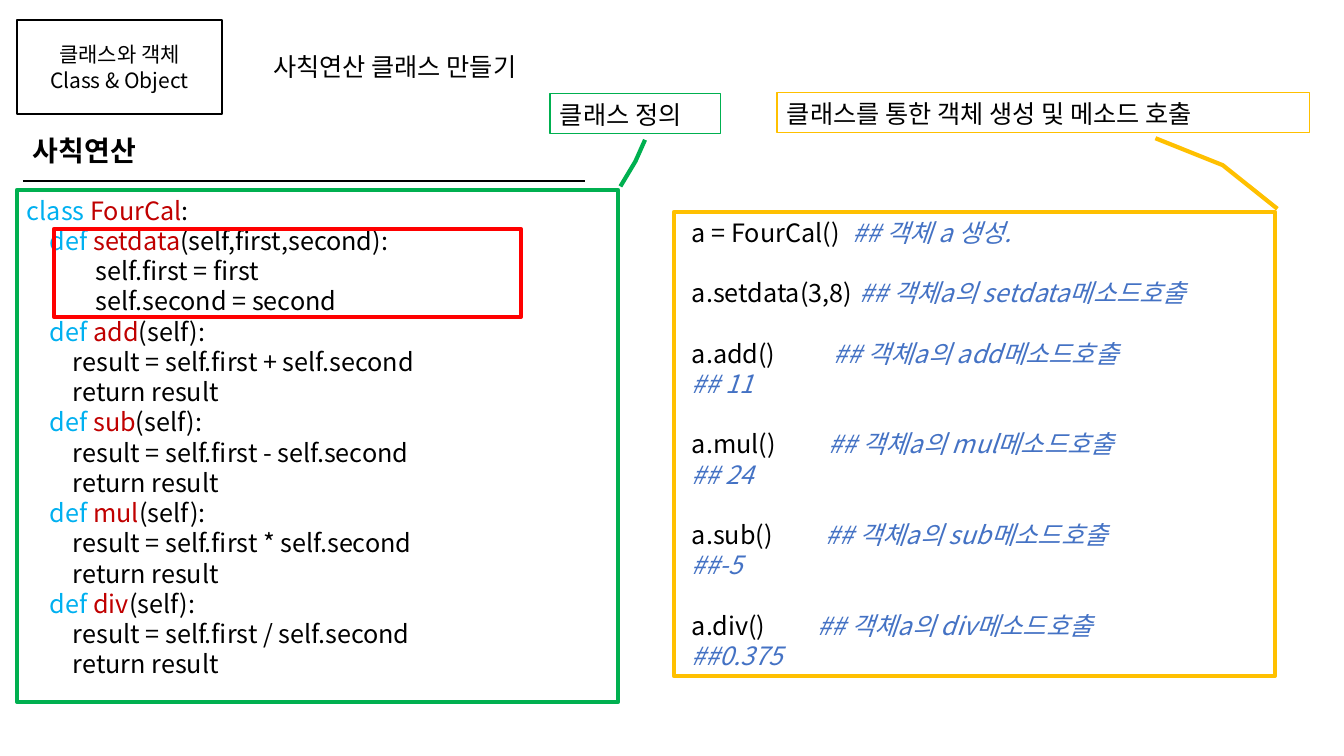
from lxml import etree
from pptx import Presentation, util as u
from pptx.dml.color import RGBColor
from pptx.enum import shapes, text
from pptx.oxml.ns import qn

FONT = "Noto Sans CJK KR"
COLORS = {
    "black": "000000", "keyword": "00B0F0", "name": "C00000", "comment": "4472C4",
    "green": "00B050", "yellow": "FFC000", "red": "FF0000",
}
TITLE = "사칙연산 클래스 만들기"
TOPIC = ["클래스와 객체", "Class & Object"]
SUBHEAD = "사칙연산"
OPERATIONS = [("add", "+"), ("sub", "-"), ("mul", "*"), ("div", "/")]
# call, comment, px from text edge to comment, printed result
CALLS = [
    ("a = FourCal()", "## 객체 a 생성.", 161, None),
    ("a.setdata(3,8)", "## 객체a의 setdata메소드호출", 168, None),
    ("a.add()", "## 객체a의 add메소드호출", 142, "## 11"),
    ("a.mul()", "## 객체a의 mul메소드호출", 137, "## 24"),
    ("a.sub()", "## 객체a의 sub메소드호출", 134, "##-5"),
    ("a.div()", "## 객체a의 div메소드호출", 126, "##0.375"),
]
# label, label box, code frame, callout adjustments, colour
PANELS = [
    ("클래스 정의", (550, 94, 171, 40), (17, 190, 601, 512),
     (1.007, -0.004, 1.056, -0.029, 1.098, -0.045), "green"),
    ("클래스를 통한 객체 생성 및 메소드 호출", (777, 93, 533, 40), (674, 212, 601, 464),
     (1.007, -0.004, 1.101, 0.087, 1.159, 0.199), "yellow"),
]
INDENT = 23
CODE_SIZE = 18
LINE_HEIGHT = 1.2


def px(length):
    return u.Emu(round(length * 914400 / 100.8))


def box(*bounds):
    return [px(length) for length in bounds]


def rgb(color):
    return RGBColor.from_string(COLORS[color])


def add_run(paragraph, words, size=CODE_SIZE, color="black", bold=False, italic=False):
    run = paragraph.add_run()
    run.text = words
    font = run.font
    font.name, font.size, font.bold, font.italic = FONT, u.Pt(size), bold, italic
    font.color.rgb = rgb(color)
    latin = font._element.find(qn("a:latin"))
    east_asian = etree.Element(qn("a:ea"), typeface=FONT)
    latin.addnext(east_asian)


def next_line(frame, size=CODE_SIZE, align=text.PP_ALIGN.LEFT):
    """Return the empty first paragraph, or a new one, with fixed line spacing."""
    paragraph = frame.paragraphs[-1]
    if paragraph.runs:
        paragraph = frame.add_paragraph()
    paragraph.alignment = align
    paragraph.line_spacing = u.Pt(size * LINE_HEIGHT)
    paragraph.space_before = u.Pt(0)
    return paragraph


def prepare(frame, anchor=text.MSO_ANCHOR.TOP):
    frame.word_wrap = True
    frame.auto_size = text.MSO_AUTO_SIZE.NONE
    frame.vertical_anchor = anchor
    return frame


def add_textbox(*bounds):
    return prepare(slide.shapes.add_textbox(*box(*bounds)).text_frame)


def add_outline(kind, bounds, color, width):
    shape = slide.shapes.add_shape(kind, *box(*bounds))
    shape.shadow.inherit = False
    shape.fill.background()
    shape.line.color.rgb = rgb(color)
    shape.line.width = u.Pt(width)
    return shape


def class_lines():
    """Return (indent level, coloured parts) for each line of the class."""
    def method(name, arguments):
        return 1, [("def ", "keyword"), (name, "name"), (f"({arguments}):", "black")]

    lines = [(0, [("class ", "keyword"), ("FourCal", "name"), (":", "black")]),
             method("setdata", "self,first,second")]
    lines += [(3, [(f"self.{field} = {field}", "black")]) for field in ("first", "second")]
    for name, sign in OPERATIONS:
        lines += [method(name, "self"),
                  (2, [(f"result = self.first {sign} self.second", "black")]),
                  (2, [("return result", "black")])]
    return lines


def write_class(frame):
    for level, parts in class_lines():
        line = next_line(frame)
        properties = line._p.get_or_add_pPr()
        properties.set("marL", str(px(level * INDENT)))
        properties.set("indent", "0")
        for words, color in parts:
            add_run(line, words, color=color)


def write_calls(frame):
    for number, (call, comment, offset, result) in enumerate(CALLS):
        line = next_line(frame)
        if number:
            line.space_before = u.Pt(CODE_SIZE * LINE_HEIGHT)
        tabs = etree.SubElement(line._p.get_or_add_pPr(), qn("a:tabLst"))
        etree.SubElement(tabs, qn("a:tab"), pos=str(px(offset)), algn="l")
        add_run(line, call + "\t")
        add_run(line, comment, color="comment", italic=True)
        if result:
            add_run(next_line(frame), result, color="comment", italic=True)


deck = Presentation()
deck.slide_width, deck.slide_height = px(1344), px(756)
slide = deck.slides.add_slide(deck.slide_layouts[5])

title = slide.shapes.title
title.left, title.top, title.width, title.height = box(263, 46, 367, 40)
add_run(next_line(prepare(title.text_frame, text.MSO_ANCHOR.MIDDLE)), TITLE)

add_run(next_line(add_textbox(23, 129, 340, 35), 20), SUBHEAD, 20, bold=True)
rule = slide.shapes.add_connector(shapes.MSO_CONNECTOR.STRAIGHT, *box(23, 181, 585, 181))
rule.line.color.rgb = rgb("black")
rule.line.width = u.Pt(1.25)
etree.SubElement(rule._element.spPr, qn("a:effectLst"))

write_class(add_textbox(17, 190, 880, 529))
write_calls(add_textbox(682, 212, 628, 468))

RECTANGLE = shapes.MSO_SHAPE.RECTANGLE
for label, label_bounds, frame_bounds, pointer, color in PANELS:
    callout = add_outline(shapes.MSO_SHAPE.LINE_CALLOUT_2, frame_bounds, color, 3)
    callout.rotation = 180
    for index, value in enumerate(pointer):
        callout.adjustments[index] = value
    tag = add_outline(RECTANGLE, label_bounds, color, 0.75)
    add_run(next_line(prepare(tag.text_frame, text.MSO_ANCHOR.MIDDLE)), label)

topic = add_outline(RECTANGLE, (17, 20, 205, 94), "black", 2)
topic_frame = prepare(topic.text_frame, text.MSO_ANCHOR.MIDDLE)
for words in TOPIC:
    add_run(next_line(topic_frame, 15, text.PP_ALIGN.CENTER), words, 15)

add_outline(RECTANGLE, (54, 229, 467, 88), "red", 3)

deck.save("out.pptx")
